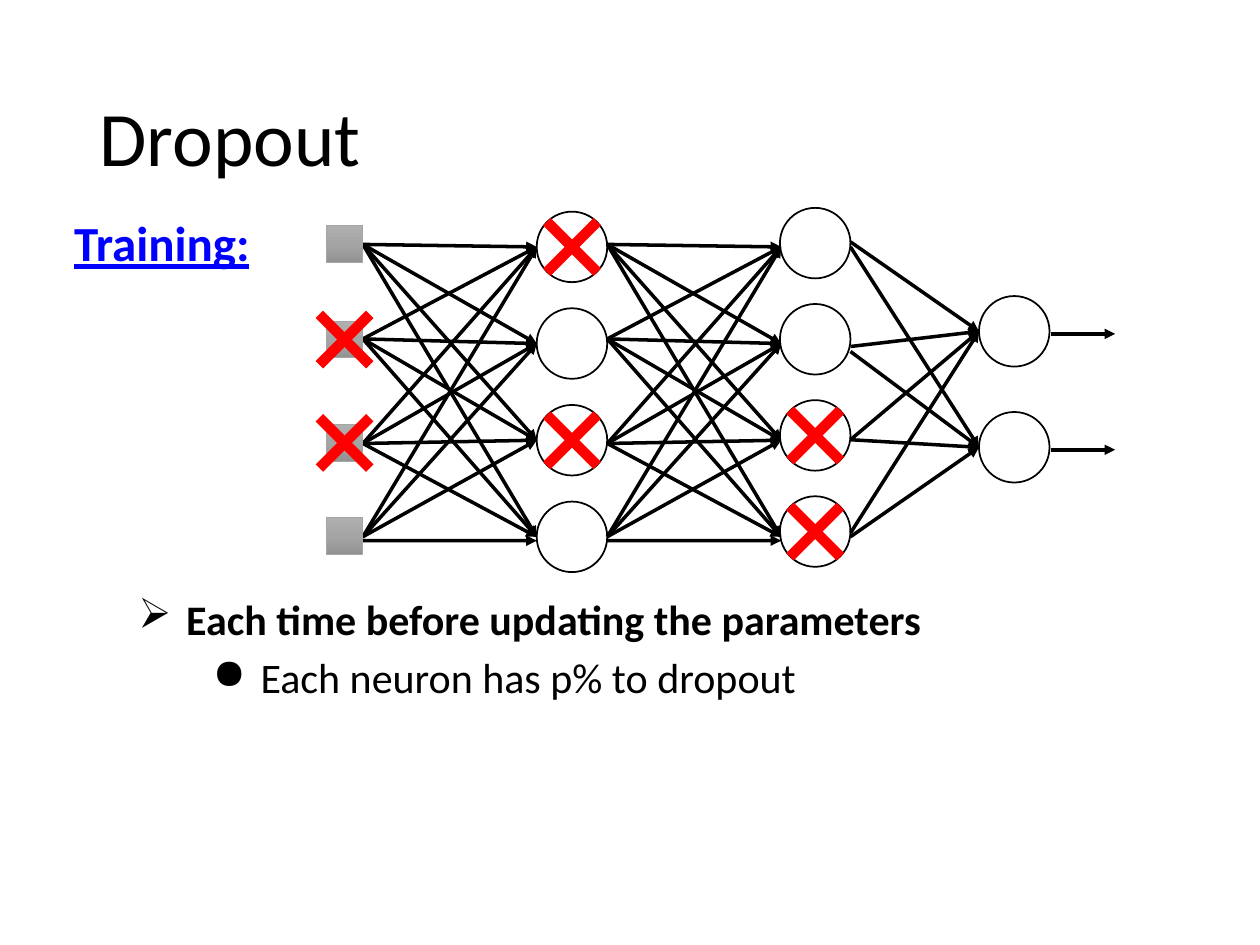
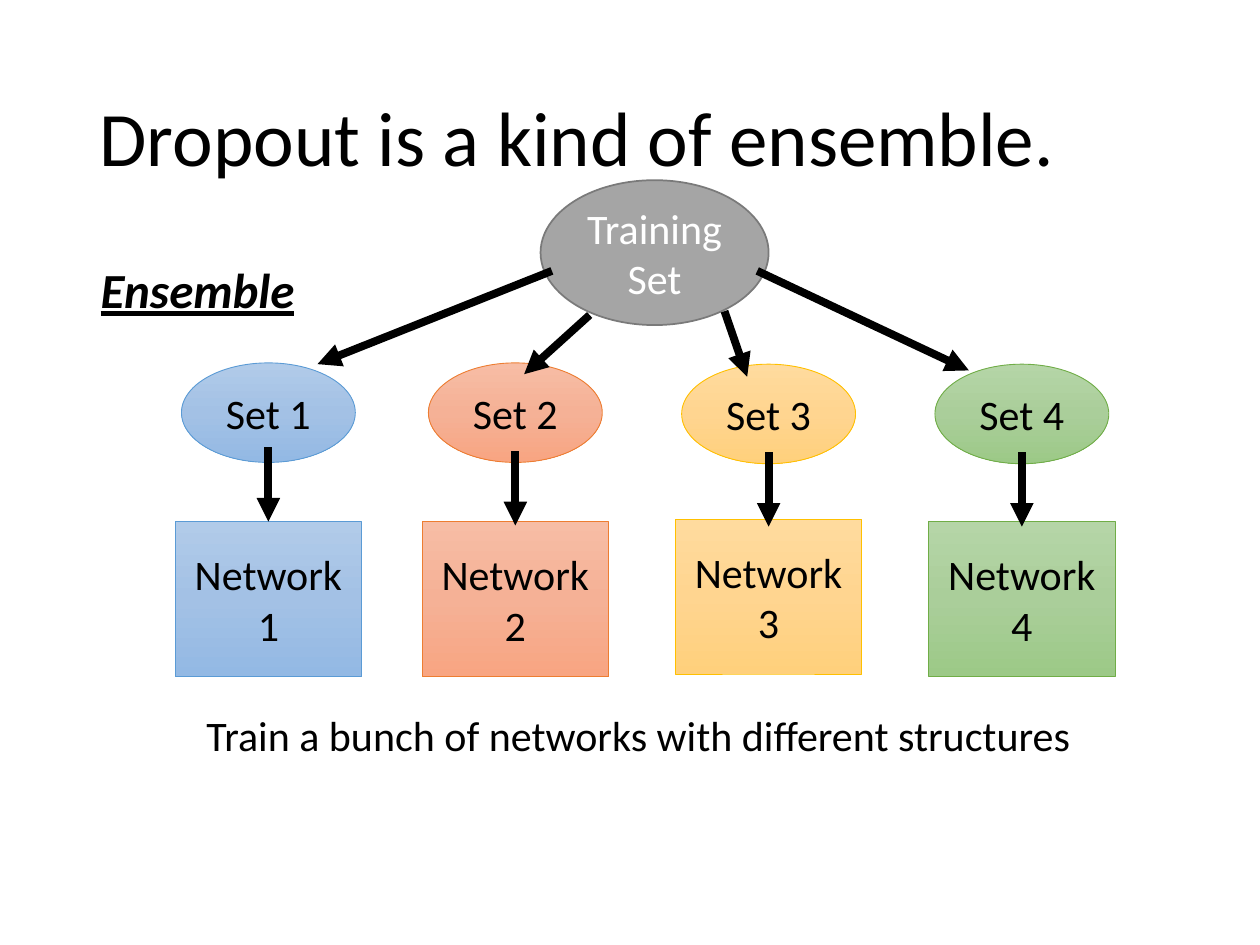
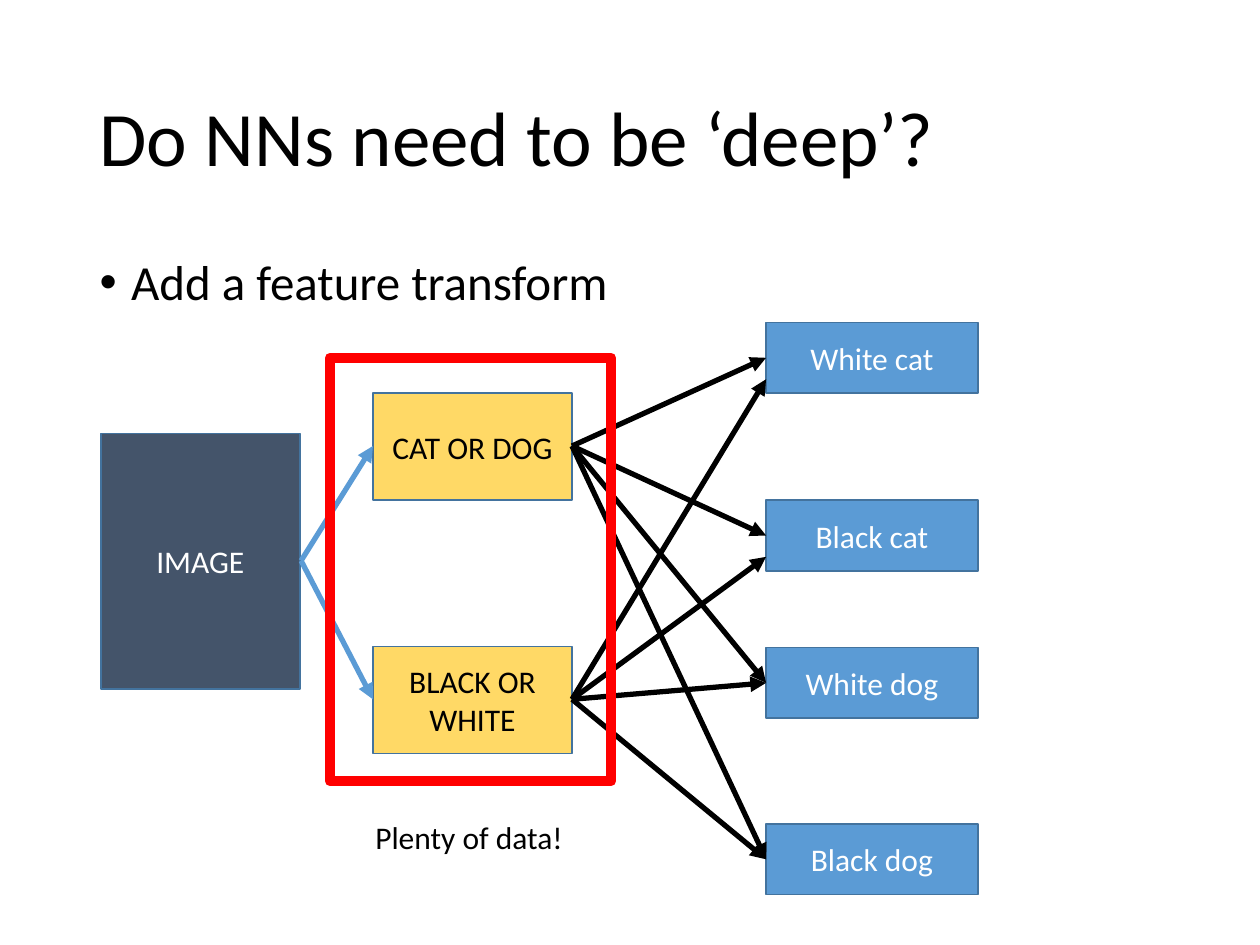
from itertools import product

from lxml.etree import SubElement
from pptx import Presentation
from pptx.dml.color import RGBColor
from pptx.enum.shapes import MSO_CONNECTOR, MSO_SHAPE
from pptx.enum.text import MSO_ANCHOR, MSO_AUTO_SIZE, PP_ALIGN
from pptx.oxml.ns import qn
from pptx.util import Inches, Pt

FONT = "Calibri"
BLACK, WHITE, RED, BLUE = "000000", "FFFFFF", "FF0000", "5B9BD5"
GRAY, OUTLINE = "A5A5A5", "43739E"
GRAY_SHADES = ("AFAFAF", "A5A5A5", "939393")
ENSEMBLE_COLORS = (
    (("B1CBE9", "A3C1E5", "93B9E4"), "5B9BD5"),
    (("F7BDA5", "F5B196", "F8A582"), "ED7D31"),
    (("FFDB9E", "FFD590", "FFD07C"), "FFC000"),
    (("B5D5A7", "AACE9A", "9CC987"), "70AD47"),
)
TITLE_ONLY, TITLE_AND_BODY = 5, 1


def rgb(color):
    """Turn a hex string into a colour."""
    return RGBColor.from_string(color)


def place(shape, left, top, width, height):
    """Move and size a shape, in inches."""
    shape.left, shape.top = Inches(left), Inches(top)
    shape.width, shape.height = Inches(width), Inches(height)


def write(frame, text, size, color=BLACK, align=PP_ALIGN.LEFT, bold=None, italic=None, underline=None):
    """Fill a text frame and format its runs."""
    frame.text = text
    for paragraph in frame.paragraphs:
        paragraph.alignment = align
        for run in paragraph.runs:
            font = run.font
            font.name, font.size, font.color.rgb = FONT, Pt(size), rgb(color)
            font.bold, font.italic, font.underline = bold, italic, underline


def add_bullet(paragraph, char, indent):
    """Give a paragraph a bullet with a hanging indent."""
    properties = paragraph._p.get_or_add_pPr()
    properties.set("marL", str(Inches(indent)))
    properties.set("indent", str(-Inches(indent)))
    SubElement(properties, qn("a:buChar"), char=char)


def add_label(slide, left, top, width, height, text, size, wrap=True, **style):
    """Add a text box and return its first paragraph."""
    frame = slide.shapes.add_textbox(Inches(left), Inches(top), Inches(width), Inches(height)).text_frame
    frame.word_wrap = wrap
    frame.auto_size = MSO_AUTO_SIZE.SHAPE_TO_FIT_TEXT
    write(frame, text, size, **style)
    return frame.paragraphs[0]


def shade(shape, colors):
    """Fill a shape with a vertical gradient of evenly spaced colours."""
    shape.fill.gradient()
    shape.fill.gradient_angle = 270
    stops = shape._element.spPr.find(qn("a:gradFill")).find(qn("a:gsLst"))
    for stop in list(stops):
        stops.remove(stop)
    for index, color in enumerate(colors):
        stop = SubElement(stops, qn("a:gs"), pos=str(100000 * index // (len(colors) - 1)))
        SubElement(stop, qn("a:srgbClr"), val=color)


def add_block(slide, kind, left, top, width, height, fill, line, weight, text="", size=24, color=BLACK):
    """Add an outlined shape with a plain, shaded or empty fill and centred text."""
    block = slide.shapes.add_shape(kind, Inches(left), Inches(top), Inches(width), Inches(height))
    block.shadow.inherit = False
    if fill is None:
        block.fill.background()
    elif isinstance(fill, tuple):
        shade(block, fill)
    else:
        block.fill.solid()
        block.fill.fore_color.rgb = rgb(fill)
    block.line.color.rgb, block.line.width = rgb(line), Pt(weight)
    if text:
        block.text_frame.vertical_anchor = MSO_ANCHOR.MIDDLE
        write(block.text_frame, text, size, color, PP_ALIGN.CENTER)
    return block


def add_line(slide, start, end, weight, color=BLACK, arrow=True):
    """Draw a straight line, with an arrowhead at its end if wanted."""
    points = [Inches(value) for value in (*start, *end)]
    line = slide.shapes.add_connector(MSO_CONNECTOR.STRAIGHT, *points)
    line.line.color.rgb, line.line.width = rgb(color), Pt(weight)
    if arrow:
        SubElement(line.line._get_or_add_ln(), qn("a:tailEnd"), type="triangle")
    SubElement(line._element.spPr, qn("a:effectLst"))


def add_titled_slide(deck, layout, title):
    """Add a slide whose title has the shared style."""
    slide = deck.slides.add_slide(deck.slide_layouts[layout])
    heading = slide.shapes.title
    place(heading, 0.69, 0.4, 8.62, 1.45)
    heading.text_frame.vertical_anchor = MSO_ANCHOR.MIDDLE
    write(heading.text_frame, title, 44)
    heading.text_frame.paragraphs[0].line_spacing = 0.9
    return slide


def draw_network(slide, left, top):
    """Draw the layered network with its dropped neurons crossed out."""
    square, circle, rows = 0.29, 0.56, range(4)
    inputs = [(left, top + y) for y in (0.14, 0.9, 1.72, 2.46)]
    first = [(left + 1.67, top + 0.03 + 0.767 * row) for row in rows]
    second = [(left + 3.6, top + 0.763 * row) for row in rows]
    outputs = [(left + 5.18, top + y) for y in (0.7, 1.62)]

    starts = [top + y for y in (0.29, 1.04, 1.87, 2.61)]
    ends = [top + 0.31 + 0.767 * row for row in rows]
    for x in (left + square, left + 2.23):
        for source, target in product(rows, rows):
            drop = 0.03 if source == target == 3 else 0
            add_line(slide, (x, starts[source] + drop), (x + 1.38, ends[target] + drop), 2)
    fans = ((0.98, (0.27, 1.1, 1.84, 2.58)), (1.9, (0.31, 1.14, 1.84, 2.61)))
    for target, sources in fans:
        for source in sources:
            add_line(slide, (left + 4.16, top + source), (left + 5.18, top + target), 2)
    for x, y in outputs:
        add_line(slide, (x + 0.57, y + 0.3), (x + 1.08, y + 0.3), 2)

    for x, y in inputs:
        add_block(slide, MSO_SHAPE.RECTANGLE, x, y, square, square, GRAY_SHADES, GRAY, 0.5)
    for x, y in first + second + outputs:
        add_block(slide, MSO_SHAPE.OVAL, x, y, circle, circle, None, BLACK, 1)

    dropped = ((inputs, square, (1, 2)), (first, circle, (0, 2)), (second, circle, (2, 3)))
    for layer, size, indexes in dropped:
        for index in indexes:
            add_cross(slide, layer[index][0] + size / 2, layer[index][1] + size / 2)


def add_cross(slide, x, y, reach=0.2):
    """Draw a red cross around a centre."""
    for slope in (reach, -reach):
        add_line(slide, (x - reach, y - slope), (x + reach, y + slope), 6, RED, arrow=False)


def draw_ensemble(slide, left, top):
    """Draw the training set split into four sets, each feeding a network."""
    columns = zip((0, 1.96, 3.97, 5.98), (0, 0, -0.02, 0), (0, 0, 0.01, 0.01), (0, 0.03, 0.04, 0.04))
    arrows = []
    for number, (x, network_shift, set_shift, arrow_shift) in enumerate(columns, 1):
        shades, outline = ENSEMBLE_COLORS[number - 1]
        add_block(slide, MSO_SHAPE.RECTANGLE, left + x, top + 2.71 + network_shift, 1.48, 1.23,
                  shades, outline, 0.5, f"Network\n{number}")
        add_block(slide, MSO_SHAPE.OVAL, left + x + 0.05, top + 1.45 + set_shift, 1.38, 0.79,
                  shades, outline, 0.5, f"Set {number}")
        arrows.append(((x + 0.74, 2.12 + arrow_shift), (x + 0.74, 2.71 + arrow_shift)))
    add_block(slide, MSO_SHAPE.OVAL, left + 2.9, top, 1.81, 1.15, GRAY, "7A7A7A", 1, "Training Set", color=WHITE)
    arrows += [((2.99, 0.72), (1.13, 1.46)), ((3.29, 1.07), (2.77, 1.54)),
               ((4.36, 1.04), (4.54, 1.56)), ((4.62, 0.72), (6.3, 1.51))]
    for start, end in arrows:
        add_line(slide, (left + start[0], top + start[1]), (left + end[0], top + end[1]), 4.5)


def draw_transform(slide, left, top):
    """Draw the image, its two features and the four classes they lead to."""
    feature_x, class_x = left + 2.16, left + 5.28
    classes = {"White cat": 0, "Black cat": 1.41, "White dog": 2.58, "Black dog": 3.98}
    features = (("CAT OR DOG", 0.56, (0.28, 1.69, 2.86, 4.26)),
                ("BLACK OR WHITE", 2.57, (0.45, 1.86, 2.86, 4.26)))
    add_block(slide, MSO_SHAPE.RECTANGLE, left, top + 0.88, 1.58, 2.03, "44546A", OUTLINE, 1, "IMAGE", 18, WHITE)
    for name, y in classes.items():
        add_block(slide, MSO_SHAPE.RECTANGLE, class_x, top + y, 1.68, 0.56, BLUE, OUTLINE, 1, name, 18, WHITE)
    for name, y, targets in features:
        middle = top + y + 0.42
        add_block(slide, MSO_SHAPE.RECTANGLE, feature_x, top + y, 1.58, 0.85, "FFD966", OUTLINE, 1, name, 18)
        add_line(slide, (left + 1.59, top + 1.89), (feature_x, middle), 3, BLUE)
        for target in targets:
            add_line(slide, (feature_x + 1.58, middle), (class_x, top + target), 3)
    add_block(slide, MSO_SHAPE.RECTANGLE, left + 1.82, top + 0.28, 2.23, 3.36, None, RED, 6)
    add_label(slide, left + 2.08, top + 3.88, 1.71, 0.4, "Plenty of data!", 18, wrap=False)


def build_dropout(deck):
    """Build the slide on dropout during training."""
    slide = add_titled_slide(deck, TITLE_ONLY, "Dropout")
    add_label(slide, 0.49, 1.64, 2.54, 0.57, "Training:", 28, color="0000FF", bold=True, underline=True)
    draw_network(slide, 2.59, 1.65)
    update = add_label(slide, 1, 4.66, 6.9, 0.5, "Each time before updating the parameters", 24, bold=True)
    add_bullet(update, "➢", 0.38)
    chance = add_label(slide, 1.59, 5.12, 7.03, 0.5, "Each neuron has p% to dropout", 24)
    add_bullet(chance, "●", 0.38)


def build_ensemble(deck):
    """Build the slide that compares dropout with an ensemble."""
    slide = add_titled_slide(deck, TITLE_ONLY, "Dropout is a kind of ensemble.")
    add_label(slide, 0.7, 2.01, 2.43, 0.57, "Ensemble", 28, bold=True, italic=True, underline=True)
    draw_ensemble(slide, 1.39, 1.43)
    add_label(slide, 1.54, 5.58, 7.64, 0.5, "Train a bunch of networks with different structures", 24)


def build_depth(deck):
    """Build the slide on depth and feature transforms."""
    slide = add_titled_slide(deck, TITLE_AND_BODY, "Do NNs need to be ‘deep’?")
    body = slide.placeholders[1]
    place(body, 0.69, 2, 8.62, 4.76)
    write(body.text_frame, "Add a feature transform", 28)
    point = body.text_frame.paragraphs[0]
    point.line_spacing, point.space_before = 0.9, Pt(10)
    add_bullet(point, "•", 0.25)
    draw_transform(slide, 0.8, 2.56)


def main():
    """Build the deck and save it."""
    deck = Presentation()
    deck.slide_width, deck.slide_height = Inches(10), Inches(7.5)
    for build in (build_dropout, build_ensemble, build_depth):
        build(deck)
    deck.save("out.pptx")


main()
